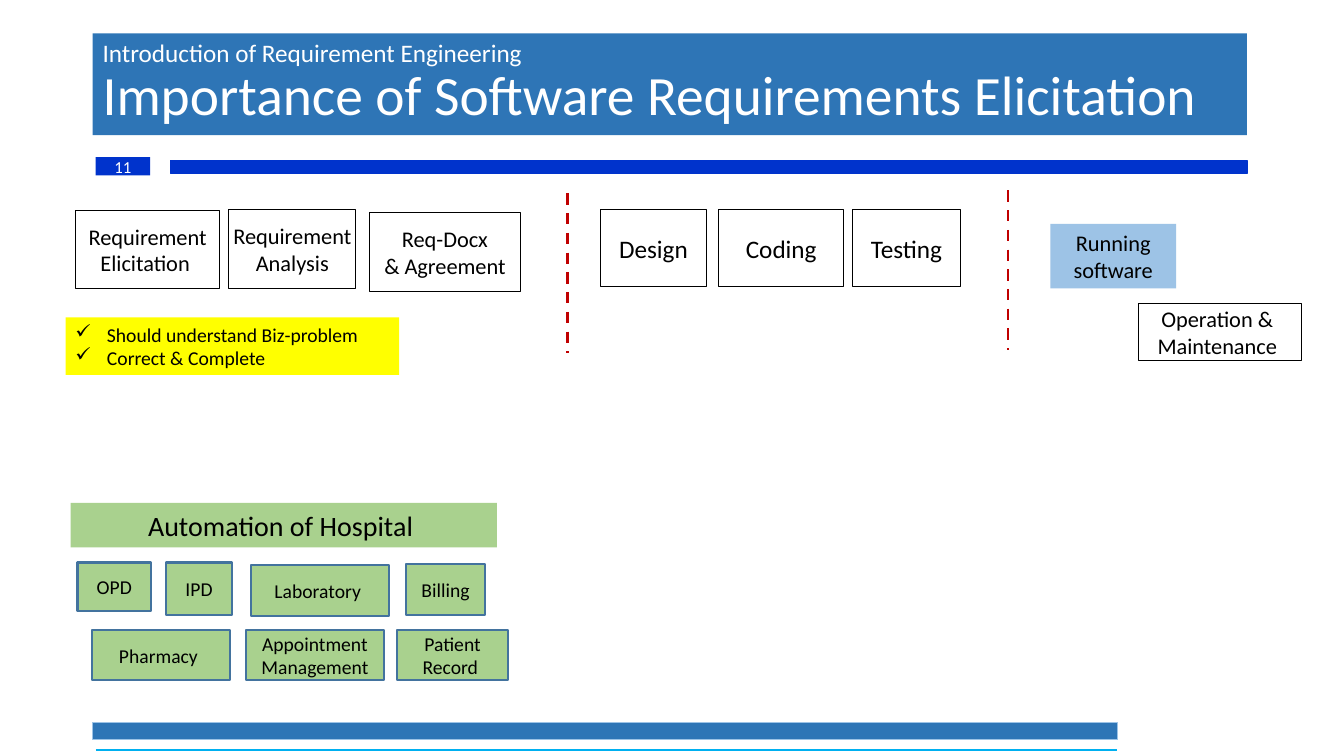
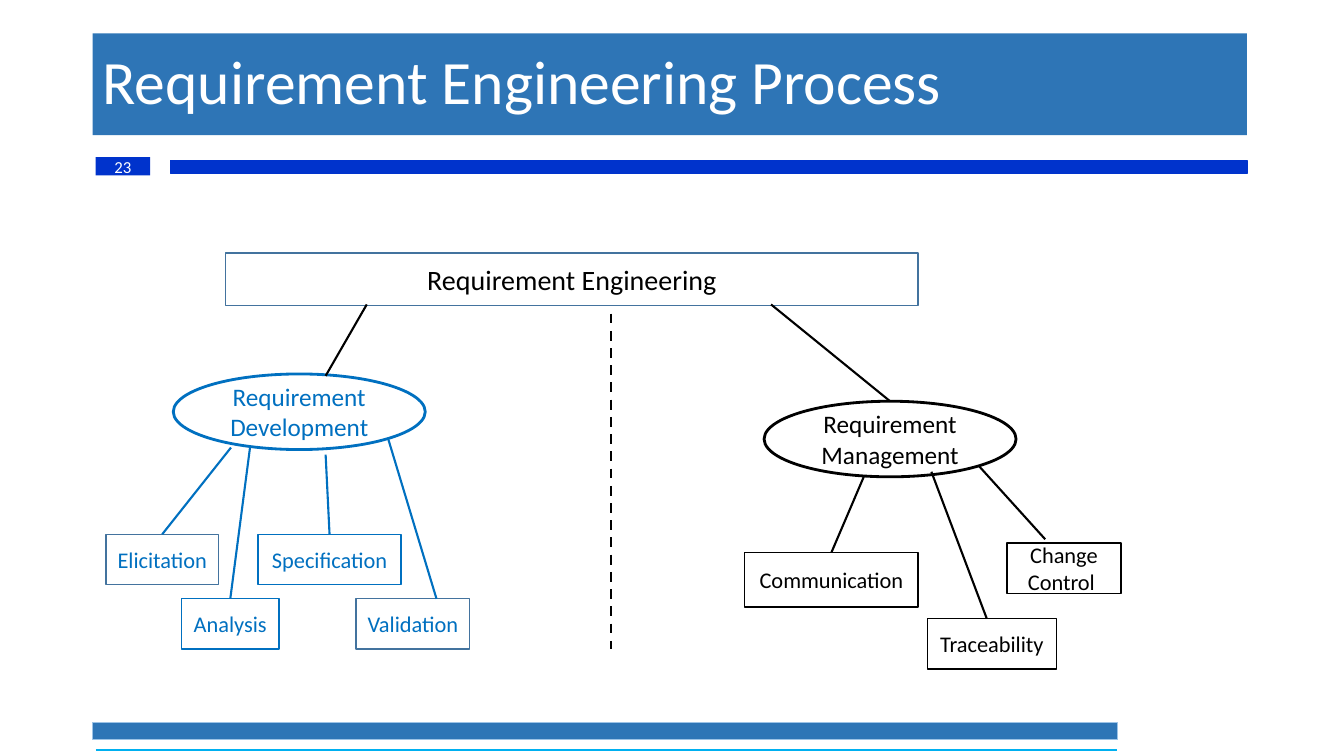
"""Build two slides on requirement elicitation and the requirement engineering process."""
from lxml.etree import SubElement
from pptx import Presentation
from pptx.dml.color import RGBColor
from pptx.enum.dml import MSO_LINE
from pptx.enum.shapes import MSO_CONNECTOR, MSO_SHAPE
from pptx.enum.text import MSO_ANCHOR, PP_ALIGN
from pptx.oxml.ns import qn
from pptx.util import Pt

FONT = "Calibri"
WHITE = RGBColor(0xFF, 0xFF, 0xFF)
BLACK = RGBColor(0x00, 0x00, 0x00)
BAND_BLUE = RGBColor(0x2E, 0x75, 0xB6)
PALE_BLUE = RGBColor(0x9D, 0xC3, 0xE6)
RULE_BLUE = RGBColor(0x00, 0x33, 0xCC)
CYAN = RGBColor(0x00, 0xB0, 0xF0)
OUTLINE_BLUE = RGBColor(0x43, 0x73, 0x9E)
DEVELOPMENT_BLUE = RGBColor(0x00, 0x70, 0xC0)
RED = RGBColor(0xC0, 0x00, 0x00)
GREEN = RGBColor(0xA9, 0xD1, 0x8E)
YELLOW = RGBColor(0xFF, 0xFF, 0x00)

ELICITATION_TITLE = [
    ("Introduction of Requirement Engineering", 18),
    ("Importance of Software Requirements Elicitation", 39.6),
]
PROCESS_TITLE = [("Requirement Engineering Process", 44)]

PHASES = [
    ("Requirement\nElicitation ", (54, 150.5, 103, 55.5), 16),
    ("Requirement\nAnalysis", (163.5, 149.8, 90.7, 56.2), 16),
    ("Req-Docx\n& Agreement", (264.2, 151.9, 107.3, 56.2), 16),
    ("Design", (429, 149.8, 75.6, 54.7), 18),
    ("Coding", (513.4, 149.8, 89.3, 54.7), 18),
    ("Testing", (609, 149.8, 77, 54.7), 18),
    ("Operation & \nMaintenance ", (813, 216.7, 116.6, 41), 16),
]
PHASE_DIVIDERS = [(405.4, 138.2), (720, 136)]
DIVIDER_HEIGHT = 113.8
RUNNING_SOFTWARE = ("Running\nsoftware", (750.2, 160, 90, 46), 16)
QUALITY_GOALS = ["Should understand Biz-problem", "Correct & Complete"]
QUALITY_FRAME = (46.8, 226.8, 238.3, 41)
HOSPITAL = ("Automation of Hospital ", (50.4, 359.3, 304.6, 31.7), 20)
HOSPITAL_MODULES = [
    ("OPD", (55.4, 401.8, 52.6, 34.6)),
    ("IPD", (118.8, 401.8, 46.8, 37.4)),
    ("Laboratory ", (179.3, 403.9, 98.6, 36)),
    ("Billing", (290.2, 403.2, 56.2, 36)),
    ("Pharmacy ", (65.5, 450, 98.6, 36)),
    ("Appointment Management", (175.7, 450, 98.6, 36)),
    ("Patient\nRecord ", (283.7, 450, 79.2, 36)),
]

ROOT = ("Requirement Engineering", (161.3, 180.7, 494.6, 37.4), 20)
BRANCHES = [
    {
        "name": "Requirement Development",
        "frame": (123.8, 267.1, 180, 54),
        "color": DEVELOPMENT_BLUE,
        "link": ((262, 217.5), (232.6, 268.5)),
        "joined": False,
        "activities": [
            ("Elicitation", (75.6, 381.6, 80.6, 36), OUTLINE_BLUE, (165, 319.7), None),
            ("Analysis", (129.6, 427.7, 69.8, 36), DEVELOPMENT_BLUE, (178.6, 319.7), None),
            ("Specification", (184.3, 381.6, 102.2, 36), DEVELOPMENT_BLUE, (232.6, 324.7), None),
            ("Validation", (254.2, 427.7, 81.4, 36), OUTLINE_BLUE, (277.2, 313.2), (311.8, 427.7)),
        ],
    },
    {
        "name": "Requirement Management",
        "frame": (545.8, 286.6, 180, 54),
        "color": BLACK,
        "link": ((550.8, 217.5), (635.8, 286.6)),
        "joined": True,
        "activities": [
            ("Communication", (532, 394.6, 123.8, 38.9), BLACK, (617, 340.6), None),
            ("Traceability", (662.4, 442, 92.2, 36), BLACK, (665.3, 337), (704.9, 442)),
            ("Change Control ", (719.3, 388, 81.4, 36), BLACK, (699, 332.6), (746.6, 385.2)),
        ],
    },
]
PROCESS_DIVIDER = ((436.3, 224), (436.3, 463.7))


def add_box(slide, frame, fill, line=None, width=1.0, kind=MSO_SHAPE.RECTANGLE):
    shape = slide.shapes.add_shape(kind, *map(Pt, frame))
    shape.shadow.inherit = False
    shape.fill.solid()
    shape.fill.fore_color.rgb = fill
    if line is None:
        shape.line.fill.background()
    else:
        shape.line.color.rgb = line
        shape.line.width = Pt(width)
    shape.text_frame.word_wrap = True
    shape.text_frame.vertical_anchor = MSO_ANCHOR.MIDDLE
    return shape


def style_paragraph(paragraph, color, size=None, align=PP_ALIGN.LEFT):
    paragraph.alignment = align
    paragraph.font.name = FONT
    paragraph.font.color.rgb = color
    if size:
        paragraph.font.size = Pt(size)


def add_label(slide, text, frame, size, fill=WHITE, color=BLACK, **outline):
    shape = add_box(slide, frame, fill, **outline)
    text_frame = shape.text_frame
    text_frame.margin_left = text_frame.margin_right = 0
    text_frame.text = text
    for paragraph in text_frame.paragraphs:
        style_paragraph(paragraph, color, size, PP_ALIGN.CENTER)
    return shape


def add_line(slide, start, end, color, width=1.5, dashed=False):
    connector = slide.shapes.add_connector(
        MSO_CONNECTOR.STRAIGHT, *map(Pt, (*start, *end)))
    connector.line.color.rgb = color
    connector.line.width = Pt(width)
    if dashed:
        connector.line.dash_style = MSO_LINE.DASH
    SubElement(connector.element.spPr, qn("a:effectLst"))
    return connector


def add_framed_slide(presentation, title_lines, number):
    slide = presentation.slides.add_slide(presentation.slide_layouts[6])
    add_box(slide, (66.2, 516.2, 732.2, 12.2), BAND_BLUE, PALE_BLUE)
    add_line(slide, (68.4, 535.7), (797.8, 535.7), CYAN, 1.75)
    add_box(slide, (121.7, 114.5, 769, 9.4), RULE_BLUE, RULE_BLUE)
    title = add_box(slide, (66.2, 23.8, 824.4, 72.7), BAND_BLUE)
    paragraph = title.text_frame.paragraphs[0]
    paragraph.line_spacing = 0.9
    style_paragraph(paragraph, WHITE)
    for index, (text, size) in enumerate(title_lines):
        if index:
            paragraph.add_line_break()
        run = paragraph.add_run()
        run.text = text
        run.font.size = Pt(size)
    add_label(slide, number, (68.4, 112.3, 38.9, 13), 12, RULE_BLUE, WHITE)
    return slide


def add_checklist(slide, items, frame):
    shape = add_box(slide, frame, YELLOW)
    shape.text_frame.text = "\n".join(items)
    for paragraph in shape.text_frame.paragraphs:
        properties = paragraph._p.get_or_add_pPr()
        properties.set("marL", str(Pt(22.5)))
        properties.set("indent", str(Pt(-22.5)))
        SubElement(properties, qn("a:buChar")).set("char", "✓")
        style_paragraph(paragraph, BLACK, 14)


def build_elicitation(presentation):
    slide = add_framed_slide(presentation, ELICITATION_TITLE, "11")
    for phase in PHASES:
        add_label(slide, *phase, line=BLACK, width=0.75)
    for left, top in PHASE_DIVIDERS:
        add_line(slide, (left, top), (left, top + DIVIDER_HEIGHT), RED, 2, True)
    add_label(slide, *RUNNING_SOFTWARE, fill=PALE_BLUE)
    add_checklist(slide, QUALITY_GOALS, QUALITY_FRAME)
    add_label(slide, *HOSPITAL, fill=GREEN)
    for name, frame in HOSPITAL_MODULES:
        add_label(slide, name, frame, 14, GREEN, line=OUTLINE_BLUE, width=1.5)


def build_process(presentation):
    slide = add_framed_slide(presentation, PROCESS_TITLE, "23")
    add_label(slide, *ROOT, line=OUTLINE_BLUE)
    for branch in BRANCHES:
        color = branch["color"]
        ellipse = add_label(slide, branch["name"], branch["frame"], 18, color=color,
                            line=color, width=2, kind=MSO_SHAPE.OVAL)
        link = add_line(slide, *branch["link"], BLACK)
        if branch["joined"]:
            link.end_connect(ellipse, 0)
        for name, frame, outline, start, end in branch["activities"]:
            box = add_label(slide, name, frame, 16, color=color, line=outline)
            left, top, width, _ = frame
            connector = add_line(slide, start, end or (left + width / 2, top), color)
            if end is None:
                connector.end_connect(box, 0)
    add_line(slide, *PROCESS_DIVIDER, BLACK, 1.75, True)


def main():
    presentation = Presentation()
    presentation.slide_width = Pt(960)
    presentation.slide_height = Pt(540)
    build_elicitation(presentation)
    build_process(presentation)
    presentation.save("out.pptx")


if __name__ == "__main__":
    main()
